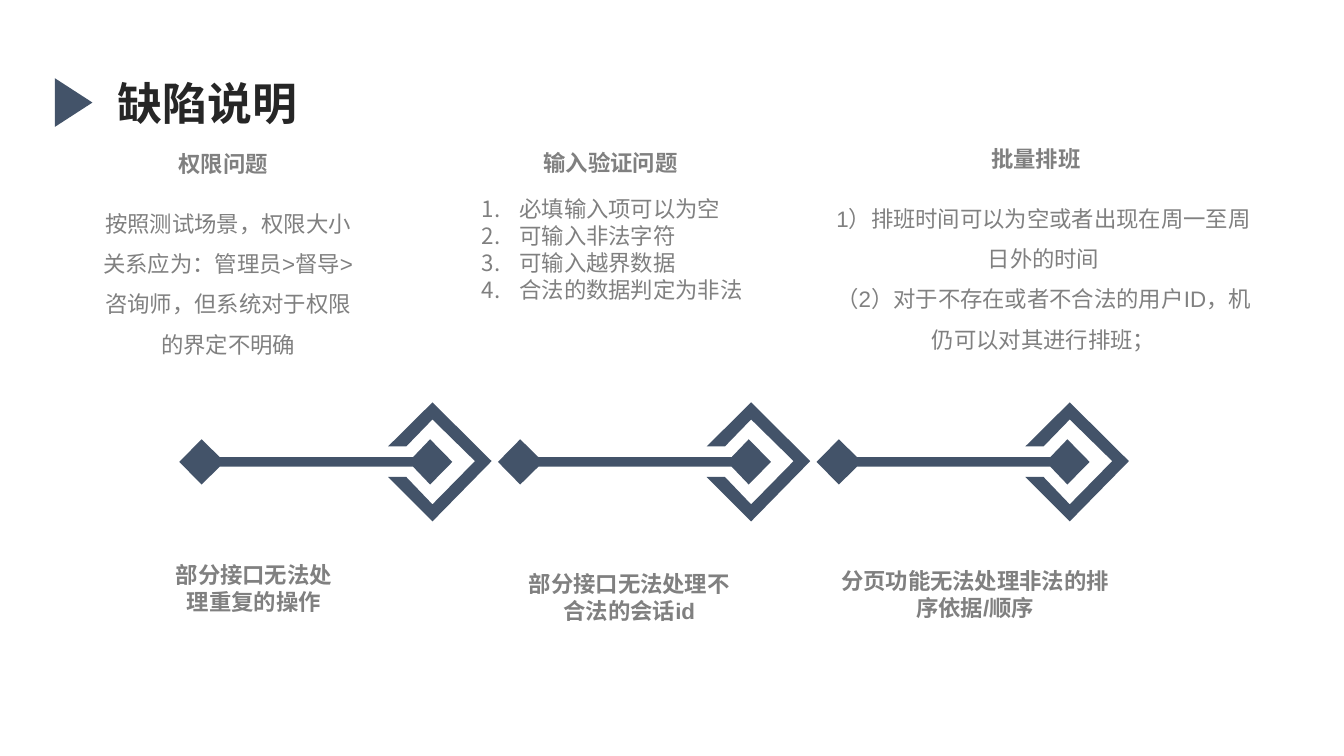
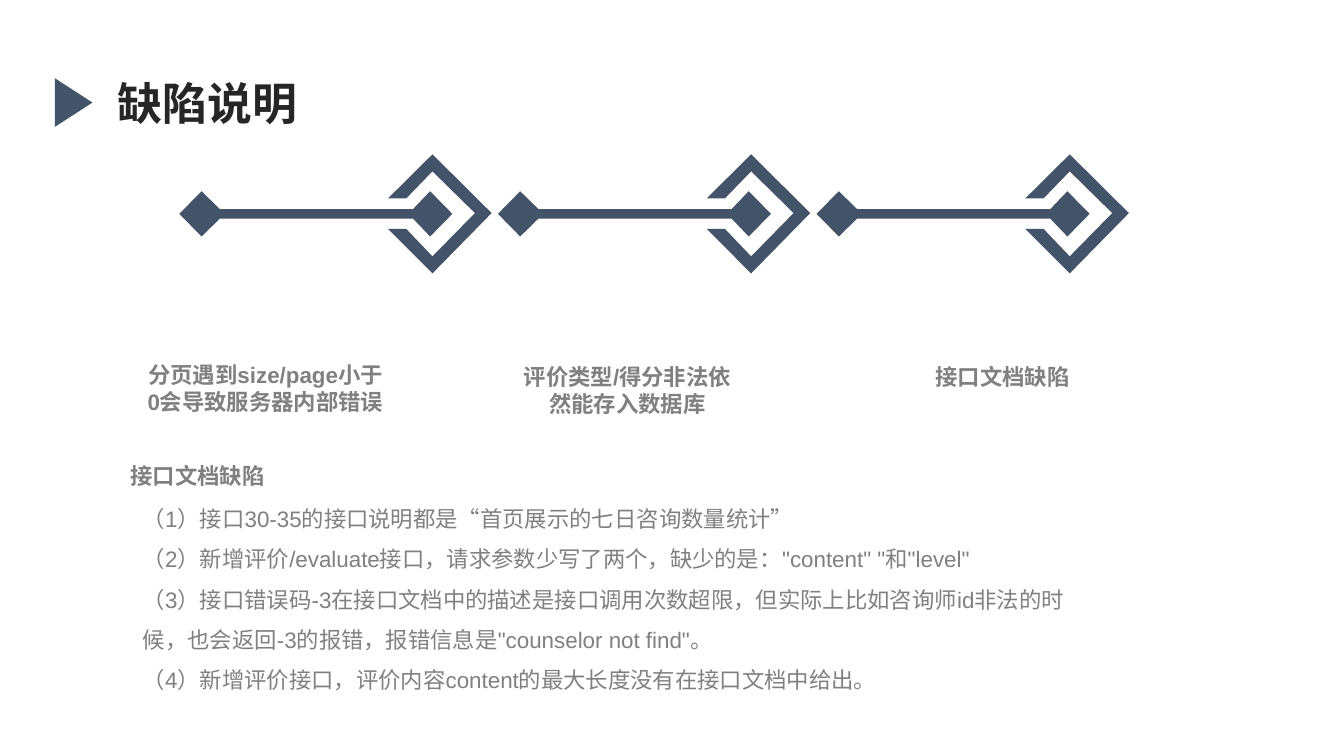
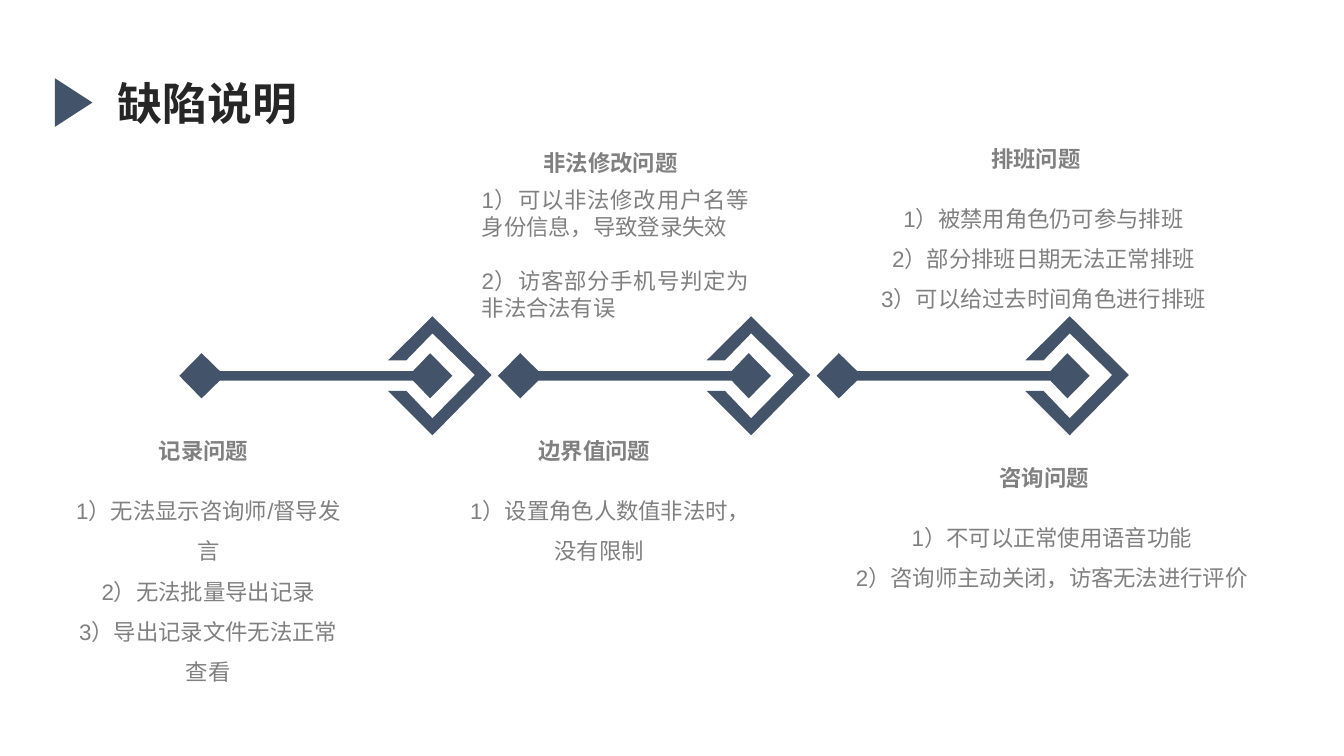
from lxml.etree import SubElement
from pptx import Presentation
from pptx.dml.color import RGBColor
from pptx.enum.shapes import MSO_SHAPE
from pptx.enum.text import MSO_AUTO_SIZE, PP_ALIGN
from pptx.oxml.ns import qn
from pptx.util import Cm, Pt


def color(code):
    """Turn a hex string into a colour."""
    return RGBColor.from_string(code)


class DefectDeck:
    """Hold the style and the current slide of the defect report."""

    FONT = "Arial"
    NAVY = "435369"
    INK = "262626"
    GRAY = "808080"
    STEP_LEFT = 4.52
    STEP_PITCH = 8.03
    BAR = [(6.32, 0.57), (6.88, 0), (6.32, -0.57), (5.89, -0.12), (1.02, -0.12), (0.56, -0.57),
           (0, 0), (0.56, 0.57), (1.02, 0.12), (5.89, 0.12)]
    BRACKET = [(6.38, -1.5), (5.26, -0.39), (5.72, -0.39), (6.38, -1.07), (7.45, -0.02),
               (6.38, 1.07), (5.72, 0.38), (5.26, 0.38), (6.38, 1.5), (7.87, -0.02)]

    def __init__(self):
        """Open a wide presentation."""
        self.deck = Presentation()
        self.deck.slide_width, self.deck.slide_height = Cm(33.87), Cm(19.05)

    def add_slide(self, title, axis):
        """Start a slide with its title and its chain of three steps."""
        self.shapes = self.deck.slides.add_slide(self.deck.slide_layouts[6]).shapes
        marker = self.shapes.add_shape(MSO_SHAPE.ISOSCELES_TRIANGLE, Cm(1.24), Cm(2.11), Cm(1.23), Cm(0.95))
        marker.rotation = 90
        self.paint(marker)
        for step in range(3):
            left = self.STEP_LEFT + step * self.STEP_PITCH
            for outline in (self.BAR, self.BRACKET):
                self.outline(outline, left, axis)
        self.text((2.72, 1.78, 7.95, 1.63), [title], 32, self.INK, True, PP_ALIGN.LEFT)

    def paint(self, shape):
        """Give a shape the flat navy look."""
        shape.shadow.inherit = False
        shape.fill.solid()
        shape.fill.fore_color.rgb = color(self.NAVY)
        shape.line.fill.background()

    def outline(self, points, left, axis):
        """Draw a closed outline placed against the chain axis."""
        corners = [(Cm(left + x), Cm(axis + y)) for x, y in points]
        builder = self.shapes.build_freeform(*corners[0], scale=1.0)
        builder.add_line_segments(corners[1:], close=True)
        self.paint(builder.convert_to_shape())

    def text(self, box, lines, size=16, ink=GRAY, bold=False, align=PP_ALIGN.CENTER,
             spacing=None, gap=0, numbered=False):
        """Write one paragraph a line into a wrapping box."""
        frame = self.shapes.add_textbox(*map(Cm, box)).text_frame
        frame.word_wrap = True
        frame.auto_size = MSO_AUTO_SIZE.SHAPE_TO_FIT_TEXT
        for number, line in enumerate(lines):
            paragraph = frame.add_paragraph() if number else frame.paragraphs[0]
            paragraph.alignment = align
            if spacing:
                paragraph.line_spacing = spacing
            if gap and number:
                paragraph.space_before = Pt(gap)
            if numbered:
                self.number(paragraph)
            run = paragraph.add_run()
            run.text = line
            run.font.name, run.font.size, run.font.bold = self.FONT, Pt(size), bold
            run.font.color.rgb = color(ink)

    def number(self, paragraph):
        """Number a paragraph with a hanging indent."""
        properties = paragraph._p.get_or_add_pPr()
        properties.set("marL", str(Cm(0.95)))
        properties.set("indent", str(-Cm(0.95)))
        SubElement(properties, qn("a:buFont"), typeface="+mj-lt")
        SubElement(properties, qn("a:buAutoNum"), type="arabicPeriod")

    def caption(self, left, top, width, words, height=1.63):
        """Write a bold centred caption."""
        self.text((left, top, width, height), [words], bold=True)

    def topic(self, left, top, width, height, heading, lines, drop=1.17, spacing=1.5, **style):
        """Write a heading with its body below."""
        self.caption(left + 0.157 * width, top, 0.652 * width, heading, 0.94)
        self.text((left, top + drop, width, height), lines, spacing=spacing, **style)

    def save(self):
        """Save the presentation."""
        self.deck.save("out.pptx")


def main():
    """Build the three defect slides."""
    deck = DefectDeck()
    title = "缺陷说明"
    narrow, wide = 7.24, 11.46

    deck.add_slide(title, 11.64)
    deck.topic(2.13, 3.66, narrow, 4.24, "权限问题",
               ["按照测试场景，权限大小关系应为：管理员>督导>咨询师，但系统对于权限的界定不明确"])
    deck.topic(11.89, 3.63, narrow, 3, "输入验证问题",
               ["必填输入项可以为空", "可输入非法字符", "可输入越界数据", "合法的数据判定为非法"],
               spacing=None, align=PP_ALIGN.JUSTIFY, numbered=True)
    deck.topic(20.57, 3.53, wide, 4.24, "批量排班",
               ["1）排班时间可以为空或者出现在周一至周日外的时间",
                "（2）对于不存在或者不合法的用户ID，机仍可以对其进行排班；"])
    deck.caption(4.04, 14.02, 4.72, "部分接口无法处理重复的操作")
    deck.caption(13.03, 14.25, 5.66, "部分接口无法处理不合法的会话id")
    deck.caption(20.88, 14.17, 7.39, "分页功能无法处理非法的排序依据/顺序")

    deck.add_slide(title, 5.39)
    deck.caption(3.35, 8.97, 6.68, "分页遇到size/page小于0会导致服务器内部错误")
    deck.caption(12.9, 9.02, 5.82, "评价类型/得分非法依然能存入数据库")
    deck.caption(22.91, 9.02, 4.72, "接口文档缺陷", 0.94)
    deck.text((3.35, 12.27, 23.83, 5.26),
              ["（1）接口30-35的接口说明都是“⾸⻚展⽰的七⽇咨询数量统计”",
               "（2）新增评价/evaluate接口，请求参数少写了两个，缺少的是：\"content\" \"和\"level\"",
               "（3）接口错误码-3在接口文档中的描述是接⼝调⽤次数超限，但实际上比如咨询师id非法的时候，"
               "也会返回-3的报错，报错信息是\"counselor not find\"。",
               "（4）新增评价接口，评价内容content的最大长度没有在接口文档中给出。"],
              align=PP_ALIGN.LEFT, spacing=1.5)
    deck.caption(2.62, 11.53, 4.72, "接口文档缺陷", 0.94)

    deck.add_slide(title, 9.47)
    deck.topic(1.63, 10.9, narrow, 5.26, "记录问题",
               ["1）无法显示咨询师/督导发言", "2）无法批量导出记录", "3）导出记录文件无法正常查看"])
    deck.topic(11.89, 3.63, narrow, 3.68, "非法修改问题",
               ["1）可以非法修改用户名等身份信息，导致登录失效", "2）访客部分手机号判定为非法合法有误"],
               drop=0.94, spacing=None, align=PP_ALIGN.JUSTIFY, gap=19.2)
    deck.topic(20.57, 3.53, wide, 3.2, "排班问题",
               ["1）被禁用角色仍可参与排班", "2）部分排班日期无法正常排班", "3）可以给过去时间角色进行排班"])
    deck.topic(20.78, 11.58, wide, 2.18, "咨询问题",
               ["1）不可以正常使用语音功能", "2）咨询师主动关闭，访客无法进行评价"])
    deck.topic(11.48, 10.9, narrow, 2.18, "边界值问题", ["1）设置角色人数值非法时，没有限制"])
    deck.save()


if __name__ == "__main__":
    main()
